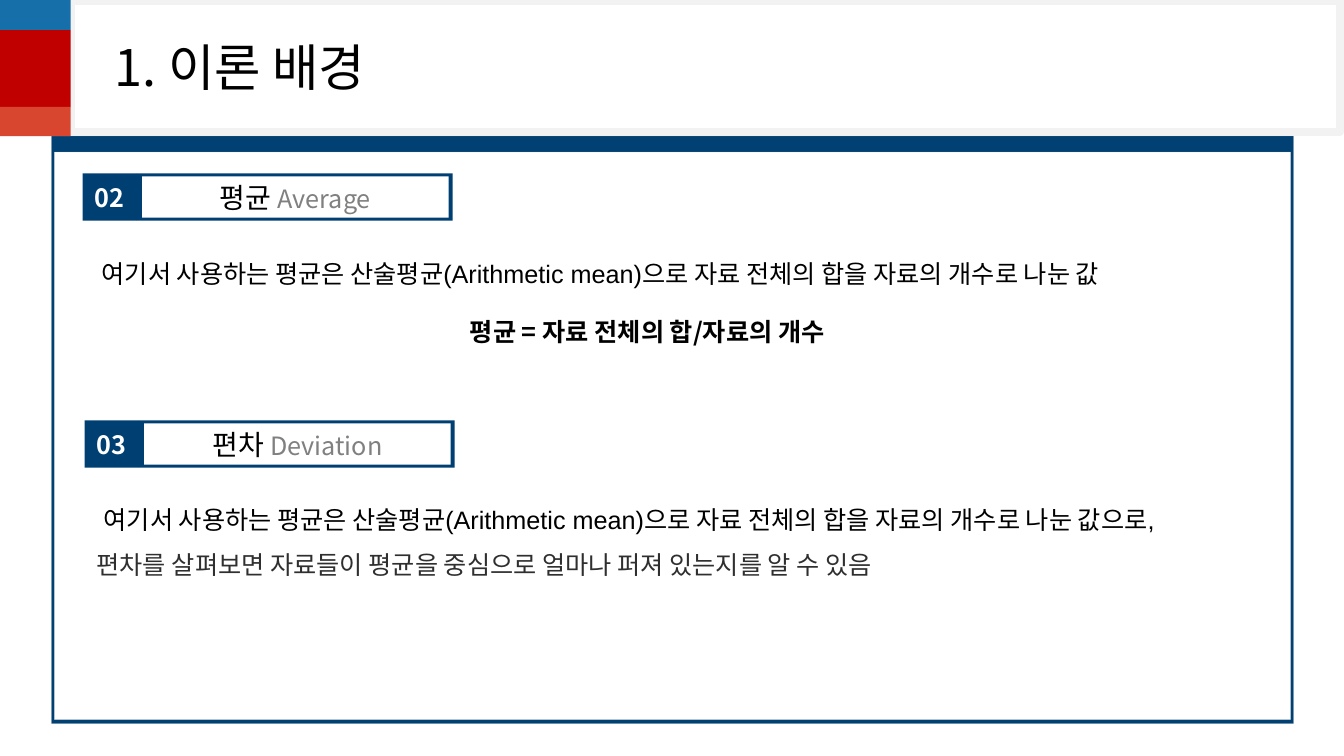
import pptx
import pptx.util
import pptx.dml.color
import pptx.enum.shapes
import pptx.enum.text
import pptx.oxml.ns
import lxml.etree

PX = 9144
THEME = {
    "navy": "004073", "tag": "003F72", "white": "FFFFFF", "black": "000000",
    "edge": "D9D9D9", "rim": "F2F2F2", "gray": "808080", "dark": "2F2F2F",
    "blue": "176FAA", "red": "C00000", "brick": "D84630",
    "head": 36, "term": 20, "body": 18,
    "sans": "Noto Sans CJK KR", "latin": "Arial",
}
KIND = pptx.enum.shapes.MSO_SHAPE
ALIGN = pptx.enum.text.PP_ALIGN
MIDDLE = pptx.enum.text.MSO_ANCHOR.MIDDLE


def add_run(para, text, color, size="body", font="sans", bold=False):
    run = para.add_run()
    run.text = text
    style = {"size": pptx.util.Pt(THEME[size]), "name": THEME[font], "bold": bold}
    for key, value in style.items():
        setattr(run.font, key, value)
    run.font.color.rgb = pptx.dml.color.RGBColor.from_string(THEME[color])
    east = lxml.etree.SubElement(run.font._element, pptx.oxml.ns.qn("a:ea"))
    east.set("typeface", THEME["sans"])


def add_box(shapes, rect, fill, kind=KIND.RECTANGLE):
    box = shapes.add_shape(kind, *[n * PX for n in rect])
    box.shadow.inherit = False
    box.fill.solid()
    box.fill.fore_color.rgb = pptx.dml.color.RGBColor.from_string(THEME[fill])
    box.line.fill.background()
    box.text_frame.vertical_anchor = MIDDLE
    box.text_frame.paragraphs[0].alignment = ALIGN.CENTER
    return box


deck = pptx.Presentation()
deck.slide_width, deck.slide_height = 1333 * PX, 750 * PX
slide = deck.slides.add_slide(deck.slide_layouts[5])
shapes = slide.shapes

title = shapes.title
place = {"left": 70, "top": 1, "width": 1259, "height": 130}
for key, value in place.items():
    setattr(title, key, value * PX)
title.fill.solid()
title.fill.fore_color.rgb = pptx.dml.color.RGBColor.from_string(THEME["white"])
title.line.color.rgb = pptx.dml.color.RGBColor.from_string(THEME["rim"])
title.line.width = pptx.util.Pt(6)
frame = title.text_frame
layout = {"margin_left": 44 * PX, "vertical_anchor": MIDDLE, "word_wrap": True,
          "auto_size": pptx.enum.text.MSO_AUTO_SIZE.NONE}
for key, value in layout.items():
    setattr(frame, key, value)
frame.paragraphs[0].alignment = ALIGN.LEFT
add_run(frame.paragraphs[0], "1. 이론 배경", "black", "head")

for rect, fill in [((51, 135, 1232, 583), "navy"), ((54, 151, 1226, 563), "white")]:
    panel = add_box(shapes, rect, fill, KIND.ROUNDED_RECTANGLE)
    panel.adjustments[0] = 0
    panel.line.color.rgb = pptx.dml.color.RGBColor.from_string(THEME["edge"])
    panel.line.width = pptx.util.Pt(0.25)
    tint = panel.line.fill._xPr.find(".//" + pptx.oxml.ns.qn("a:srgbClr"))
    lxml.etree.SubElement(tint, pptx.oxml.ns.qn("a:alpha")).set("val", "43000")

stripes = shapes.add_group_shape().shapes
for top, height, fill in [(-1, 31, "blue"), (30, 76, "red"), (106, 29, "brick")]:
    add_box(stripes, (-1, top, 71, height), fill)

tags = [(82, 172, "02", "평균 ", "Average"), (84, 417, "03", "편차 ", "Deviation")]
for left, top, number, term, gloss in tags:
    group = shapes.add_group_shape().shapes
    add_box(group, (left + 53, top, 314, 47), "tag")
    label = add_box(group, (left + 59, top + 3, 304, 41), "white")
    para = label.text_frame.paragraphs[0]
    add_run(para, term, "black", "term")
    add_run(para, gloss, "gray")
    badge = add_box(shapes, (left, top, 53, 47), "tag")
    add_run(badge.text_frame.paragraphs[0], number, "white", bold=True)

notes = [
    ((84, 236, 1132, 50), [
        ("여기서 사용하는 평균은 산술평균(Arithmetic mean)으로 자료 전체의 합을 자료의 개수로 나눈 값", "black", 7)]),
    ((86, 480, 1179, 95), [
        ("여기서 사용하는 평균은 산술평균(Arithmetic mean)으로 자료 전체의 합을 자료의 개수로 나눈 값으로,", "black", 7),
        ("편차를 살펴보면 자료들이 평균을 중심으로 얼마나 퍼져 있는지를 알 수 있음", "dark", 0)]),
]
for rect, lines in notes:
    frame = shapes.add_textbox(*[n * PX for n in rect]).text_frame
    frame.word_wrap = True
    for index, (text, color, indent) in enumerate(lines):
        para = frame.add_paragraph() if index else frame.paragraphs[0]
        para.line_spacing = 1.5
        para._p.get_or_add_pPr().set("indent", str(indent * PX))
        add_run(para, text, color, font="latin")

frame = shapes.add_textbox(466 * PX, 314 * PX, 402 * PX, 30 * PX).text_frame
frame.word_wrap = True
for side in ("left", "top", "right", "bottom"):
    setattr(frame, "margin_" + side, 0)
add_run(frame.paragraphs[0], "평균 = 자료 전체의 합/자료의 개수", "black", bold=True)

deck.save("out.pptx")
